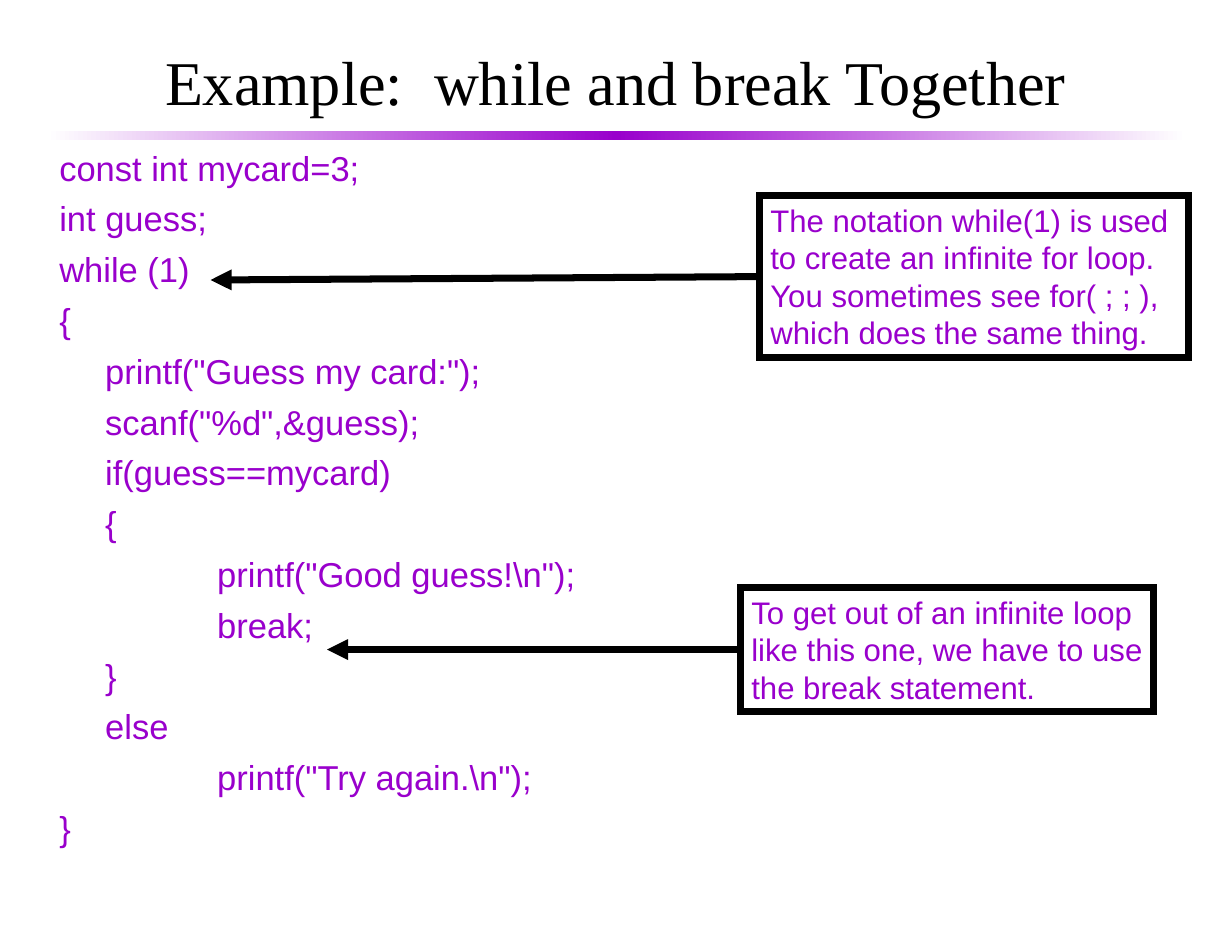
import copy
from dataclasses import dataclass

import pptx
import pptx.dml.color
import pptx.enum.shapes
import pptx.enum.text
import pptx.oxml.ns
import pptx.util

Inches = pptx.util.Inches
Pt = pptx.util.Pt
RGB = pptx.dml.color.RGBColor
Anchor = pptx.enum.text.MSO_ANCHOR
Align = pptx.enum.text.PP_ALIGN
qn = pptx.oxml.ns.qn


@dataclass(frozen=True)
class Theme:
    purple: RGB = RGB(0x99, 0x00, 0xCC)
    black: RGB = RGB(0, 0, 0)
    white: RGB = RGB(255, 255, 255)
    title_font: str = "Times New Roman"
    body_font: str = "Arial"
    title_size: float = 40
    code_size: float = 22.2
    note_size: float = 20
    line_width: float = 4.5
    indents: tuple = (0, 0.41, 1.41)


class SlideBuilder:
    def __init__(self, slide, theme):
        self.s = slide
        self.t = theme

    def _run(self, p, text, font, size, color):
        r = p.add_run()
        r.text = text
        r.font.name, r.font.size = font, Pt(size)
        r.font.color.rgb = color

    def _frame(self, sp, inset_x, inset_y):
        tf = sp.text_frame
        tf.word_wrap = True
        tf.margin_left = tf.margin_right = Inches(inset_x)
        tf.margin_top = tf.margin_bottom = Inches(inset_y)
        return tf

    def _rect(self, at):
        sp = self.s.shapes.add_shape(
            pptx.enum.shapes.MSO_SHAPE.RECTANGLE, *map(Inches, at))
        sp.shadow.inherit = False
        return sp

    def _stroke(self, sp, tag, **attrs):
        """Black line with one extra line property (join or arrowhead)."""
        sp.line.color.rgb = self.t.black
        sp.line.width = Pt(self.t.line_width)
        ln = sp._element.spPr.find(qn("a:ln"))
        ln.append(ln.makeelement(qn(tag), attrs))

    def gradient_bar(self, at):
        sp = self._rect(at)
        sp.line.fill.background()
        sp.fill.gradient()
        sp.fill.gradient_angle = 0
        stops = sp._element.find(".//" + qn("a:gsLst"))
        stops.append(copy.deepcopy(stops[0]))
        colors = (self.t.white, self.t.purple, self.t.white)
        for i, (stop, color) in enumerate(zip(sp.fill.gradient_stops, colors)):
            stop.position = i / 2
            stop.color.rgb = color

    def title(self, at, text):
        tf = self._frame(self.s.shapes.add_textbox(*map(Inches, at)), 0.11, 0.06)
        tf.vertical_anchor = Anchor.MIDDLE
        p = tf.paragraphs[0]
        p.alignment = Align.CENTER
        self._run(p, text, self.t.title_font, self.t.title_size, self.t.black)

    def code(self, at, lines):
        tf = self._frame(self.s.shapes.add_textbox(*map(Inches, at)), 0.11, 0.06)
        for i, (level, text) in enumerate(lines):
            p = tf.add_paragraph() if i else tf.paragraphs[0]
            p.space_before = Pt(6)
            p._p.get_or_add_pPr().set("marL", str(Inches(self.t.indents[level])))
            self._run(p, text, self.t.body_font, self.t.code_size, self.t.purple)

    def note(self, at, paragraphs):
        sp = self._rect(at)
        sp.fill.background()
        self._stroke(sp, "a:miter", lim="800000")
        tf = self._frame(sp, 0.1, 0.05)
        tf.margin_right = 0  # room for the longest line
        tf.vertical_anchor = Anchor.TOP
        for i, lines in enumerate(paragraphs):
            p = tf.add_paragraph() if i else tf.paragraphs[0]
            p.alignment = Align.LEFT
            for j, text in enumerate(lines):
                if j:
                    p.add_line_break()
                self._run(p, text, self.t.body_font, self.t.note_size, self.t.purple)
        return sp

    def arrow_from(self, box, x, y):
        """Arrow from the left side of a note to the code line it explains."""
        c = self.s.shapes.add_connector(
            pptx.enum.shapes.MSO_CONNECTOR.STRAIGHT,
            box.left, box.top + box.height // 2, Inches(x), Inches(y))
        c.begin_connect(box, 1)
        self._stroke(c, "a:tailEnd", type="triangle")
        sp_pr = c._element.spPr
        sp_pr.append(sp_pr.makeelement(qn("a:effectLst"), {}))


CODE = [
    (0, "const int mycard=3;"),
    (0, "int guess;"),
    (0, "while (1)"),
    (0, "{"),
    (1, 'printf("Guess my card:");'),
    (1, 'scanf("%d",&guess);'),
    (1, "if(guess==mycard)"),
    (1, "{"),
    (2, 'printf("Good guess!\\n");'),
    (2, "break;"),
    (1, "}"),
    (1, "else"),
    (2, 'printf("Try again.\\n");'),
    (0, "}"),
]


def main():
    prs = pptx.Presentation()
    prs.slide_width, prs.slide_height = Inches(11), Inches(8.5)
    b = SlideBuilder(prs.slides.add_slide(prs.slide_layouts[6]), Theme())

    # Heading and rule
    b.gradient_bar((0.42, 1.17, 10.17, 0.08))
    b.title((0.58, 0.28, 9.83, 0.88), "Example:  while and break Together")

    # Program listing
    b.code((0.42, 1.25, 5, 6.83), CODE)

    # Notes with arrows to the code
    loop_note = b.note((6.78, 1.75, 3.83, 1.44), [
        ["The notation while(1) is used", "to create an infinite for loop."],
        ["You sometimes see for( ; ; ),"],
        ["which does the same thing."],
    ])
    b.arrow_from(loop_note, 1.88, 2.5)
    break_note = b.note((6.61, 5.25, 3.69, 1.1), [
        ["To get out of an infinite loop", "like this one, we have to use",
         "the break statement."],
    ])
    b.arrow_from(break_note, 2.92, 5.8)

    prs.save("out.pptx")


if __name__ == "__main__":
    main()
